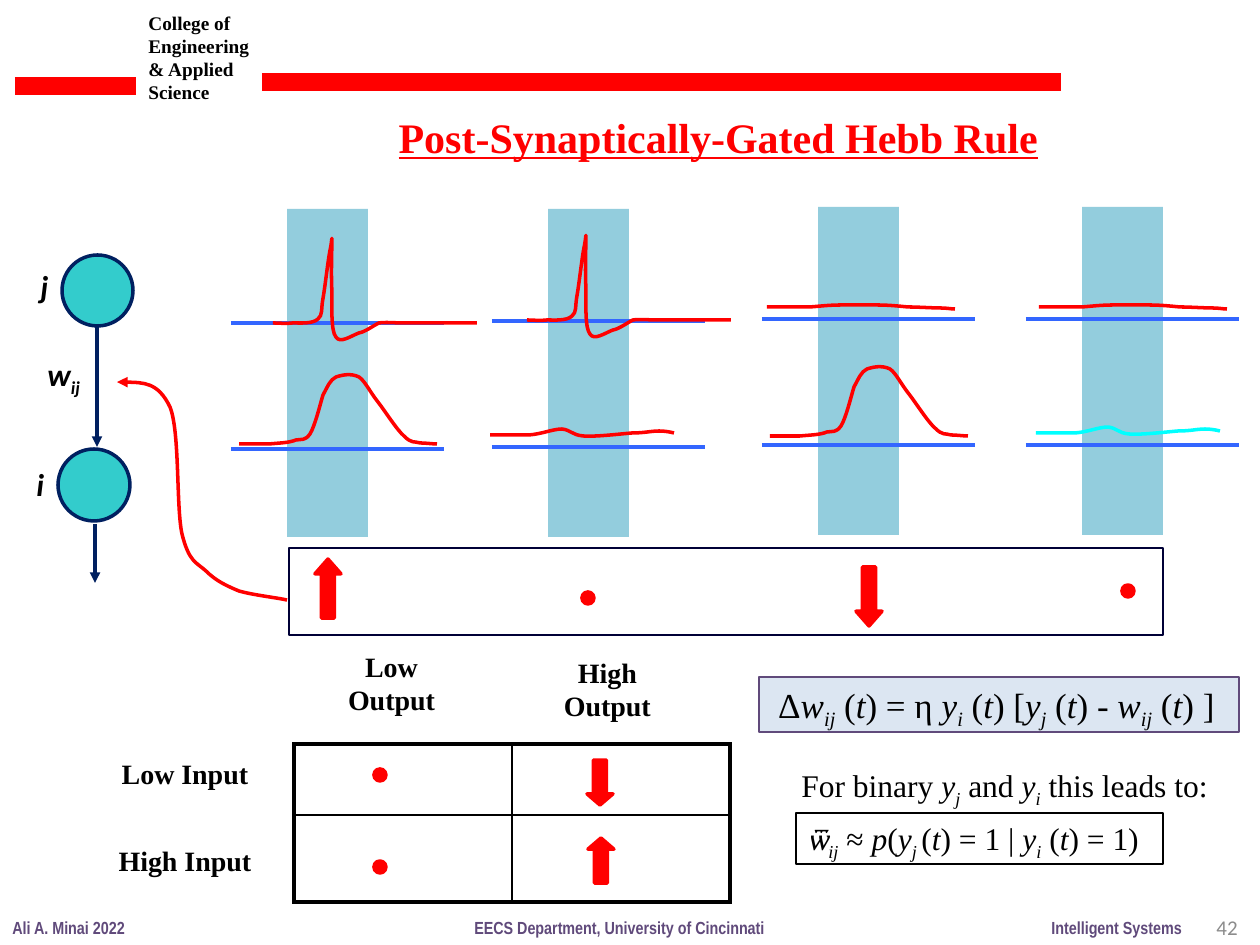
"""Build the slide on the post-synaptically-gated Hebb rule."""
from dataclasses import dataclass

from lxml import etree
from pptx import Presentation
from pptx.dml.color import RGBColor
from pptx.enum.shapes import MSO_CONNECTOR, MSO_SHAPE
from pptx.enum.text import MSO_ANCHOR, PP_ALIGN
from pptx.oxml.ns import qn
from pptx.util import Pt

SCALE = 914400 / 126
RECT, OVAL, ARROW = MSO_SHAPE.RECTANGLE, MSO_SHAPE.OVAL, MSO_SHAPE.UP_ARROW
LINE = MSO_CONNECTOR.STRAIGHT
LEFT, MID, RIGHT = PP_ALIGN.LEFT, PP_ALIGN.CENTER, PP_ALIGN.RIGHT
TOP, CENTER = MSO_ANCHOR.TOP, MSO_ANCHOR.MIDDLE
HEX = {"red": "FF0000", "black": "000000", "navy": "002060", "ink": "000036",
       "teal": "33CCCC", "band": "93CDDD", "blue": "3366FF", "cyan": "00FFFF",
       "purple": "604A7B", "pale": "DCE6F2", "gray": "8C8C8C"}
TIMES, NARROW, SANS = "Times New Roman", "Arial Narrow", "Calibri"
HEAD = {"name": TIMES, "size": Pt(16), "bold": True}
FOOT = {"name": NARROW, "size": Pt(10), "bold": True}
NODE = {"name": SANS, "size": Pt(18), "bold": True}
MATH = {"name": TIMES, "size": Pt(18)}

SPIKE = [(6, 0), (13, 1), (20, 0), (28, 0), (40, 1), (45, -4),
         (50, -8), (48, -13), (50, -24), (52, -35), (55, -62), (57, -72),
         (59, -81), (59, -89), (59, -82), (59, -76), (58, -48), (59, -32),
         (59, -15), (58, 8), (63, 14), (67, 21), (78, 13), (86, 10),
         (92, 9), (100, 3), (106, 0), (113, -1), (122, 0), (129, 0),
         (150, 0), (180, 0), (204, 0)]
BUMP = [(10, 0), (21, 0), (30, 0), (40, -1), (50, -1), (57, -4),
        (63, -5), (66, -3), (71, -10), (76, -18), (81, -39), (84, -49),
        (89, -58), (91, -64), (97, -67), (103, -69), (112, -71), (120, -67),
        (126, -63), (131, -52), (139, -42), (146, -33), (158, -14), (165, -8),
        (173, 0), (175, -3), (181, -1), (186, -1), (194, 0), (198, 0)]
WEAK = [(14, 0), (26, 0), (39, 0), (52, -1), (63, -6), (72, -6),
        (81, -5), (82, 0), (93, 1), (105, 2), (130, -1), (142, -2),
        (155, -2), (161, -4), (169, -4), (175, -4), (180, -3), (184, -2)]
FLAT = [(15, 0), (30, 0), (43, 0), (55, -1), (63, -2), (74, -2),
        (86, -2), (98, -2), (110, -2), (121, -2), (131, -1), (141, 0),
        (151, 0), (165, 1), (173, 1), (180, 1), (184, 2), (188, 2)]
LOOP = [(-8, -2), (-34, -5), (-48, -9), (-60, -14), (-71, -19), (-81, -29),
        (-91, -38), (-98, -38), (-105, -66), (-111, -93), (-107, -168),
        (-117, -193), (-129, -218), (-150, -218), (-170, -218)]


@dataclass
class Label:
    text: str
    box: tuple
    font: dict
    color: str = "black"
    align: PP_ALIGN = LEFT
    wrap: bool = False
    anchor: MSO_ANCHOR = TOP
    fill: str = ""
    edge: str = ""


@dataclass
class Trial:
    left: int
    top: int
    base: int


@dataclass
class Trace:
    x: int
    y: int
    steps: list
    color: str = "red"
    tip: bool = False


LABELS = [
    Label("College of Engineering & Applied\nScience", (136, 5, 137, 106),
          {"name": TIMES, "size": Pt(11), "bold": True}, wrap=True),
    Label("Ali A. Minai 2022", (0, 911, 139, 34), FOOT, "purple"),
    Label("EECS Department, University of Cincinnati", (462, 911, 318, 34), FOOT, "purple"),
    Label("Intelligent Systems", (1039, 911, 156, 34), FOOT, "purple"),
    Label("42", (956, 902, 294, 50), {"name": SANS, "size": Pt(12)}, "gray",
          RIGHT, True, CENTER),
    Label("Low\nOutput", (331, 643, 121, 81), HEAD, align=MID),
    Label("High\nOutput", (551, 649, 113, 81), HEAD, align=MID),
    Label("Low Input", (108, 750, 154, 47), HEAD, align=MID),
    Label("High Input", (105, 837, 160, 47), HEAD, align=MID),
    Label("*j*", (28, 261, 34, 50), NODE),
    Label("*i*", (24, 459, 34, 50), NODE),
    Label("*w_ij*", (35, 349, 58, 50), NODE),
    Label(" Δ*w_ij* (*t*) = η *y_i* (*t*) [*y_j* (*t*) - *w_ij* (*t*) ]",
          (759, 677, 480, 55), {"name": TIMES, "size": Pt(20)},
          fill="pale", edge="purple"),
    Label("For binary *y_j* and *y_i* this leads to:", (789, 760, 446, 50), MATH),
    Label("*ѿ_ij* ≈ *p*(*y_j *(*t*) = 1 | *y_i* (*t*) = 1)",
          (796, 813, 367, 51), MATH, edge="black"),
]
TRIALS = [Trial(287, 209, 323), Trial(548, 209, 321),
          Trial(818, 207, 319), Trial(1082, 207, 319)]
TRACES = [Trace(239, 444, BUMP), Trace(1036, 433, WEAK, "cyan"),
          Trace(287, 600, LOOP, tip=True), Trace(490, 435, WEAK),
          Trace(767, 307, FLAT), Trace(770, 436, BUMP), Trace(1039, 307, FLAT),
          Trace(527, 320, SPIKE), Trace(273, 323, SPIKE)]
ARROWS = [((315, 559, 26, 59), 0), ((856, 567, 26, 59), 180),
          ((588, 838, 26, 45), 0), ((587, 760, 26, 45), 180)]
DOTS = [(374, 769), (374, 861), (582, 592), (1122, 585)]


def px(*vals: int) -> list:
    return [round(val * SCALE) for val in vals]


def rgb(name: str) -> RGBColor:
    return RGBColor.from_string(HEX[name])


def paint(shape, fill: str, edge: str, width: float) -> None:
    if fill:
        shape.fill.solid()
        shape.fill.fore_color.rgb = rgb(fill)
    else:
        shape.fill.background()
    if edge:
        shape.line.color.rgb = rgb(edge)
        shape.line.width = Pt(width)
    else:
        shape.line.fill.background()


def add_run(para, text: str, look: dict, color: str):
    run = para.add_run()
    run.text = text
    for key, val in look.items():
        setattr(run.font, key, val)
    run.font.color.rgb = rgb(color)
    return run


def write(shape, label: Label) -> None:
    frame = shape.text_frame
    frame.word_wrap = label.wrap
    frame.vertical_anchor = label.anchor
    for row, line in enumerate(label.text.split("\n")):
        para = frame.add_paragraph() if row else frame.paragraphs[0]
        para.alignment = label.align
        for spot, part in enumerate(line.split("*")):
            look = {**label.font, "italic": bool(spot % 2)}
            main, _, sub = part.partition("_")
            if main:
                add_run(para, main, look, label.color)
            if sub:
                run = add_run(para, sub, look, label.color)
                run.font._element.set("baseline", "-25000")


def add_label(slide, label: Label) -> None:
    box = slide.shapes.add_textbox(*px(*label.box))
    paint(box, label.fill, label.edge, 0.75)
    write(box, label)


def add_form(slide, kind, box: tuple, fill: str, edge: str = "", width: float = 2):
    shape = slide.shapes.add_shape(kind, *px(*box))
    shape.shadow.inherit = False
    paint(shape, fill, edge, width)
    return shape


def add_tip(line) -> None:
    etree.SubElement(line._get_or_add_ln(), qn("a:tailEnd"), type="triangle")


def add_line(slide, ends: tuple, color: str, width: float = 2, tip: bool = False) -> None:
    link = slide.shapes.add_connector(LINE, *px(*ends))
    link.line.color.rgb = rgb(color)
    link.line.width = Pt(width)
    if tip:
        add_tip(link.line)
    etree.SubElement(link._element.spPr, qn("a:effectLst"))


def add_trace(slide, trace: Trace) -> None:
    pen = slide.shapes.build_freeform(trace.x, trace.y, SCALE)
    pen.add_line_segments([(trace.x + x, trace.y + y) for x, y in trace.steps], close=False)
    shape = pen.convert_to_shape()
    shape.shadow.inherit = False
    paint(shape, "", trace.color, 2)
    if trace.tip:
        add_tip(shape.line)
    route = next(shape._element.iter(qn("a:path")))
    legs = route.findall(qn("a:lnTo"))
    for first in range(0, len(legs), 3):
        curve = etree.SubElement(route, qn("a:cubicBezTo"))
        for leg in legs[first:first + 3]:
            curve.append(leg[0])
            route.remove(leg)


def add_grid(slide) -> None:
    table = slide.shapes.add_table(2, 2, *px(294, 744, 436, 158)).table
    table.first_row = table.horz_banding = False
    for row, high in zip(table.rows, px(71, 87)):
        row.height = high
    for r in range(2):
        for c in range(2):
            cell = table.cell(r, c)
            cell.fill.background()
            outer = {"lnL": c == 0, "lnR": c == 1, "lnT": r == 0, "lnB": r == 1}
            for spot, (side, thick) in enumerate(outer.items()):
                edge = etree.Element(qn("a:" + side), w=str(Pt(2.25 if thick else 1)))
                fill = etree.SubElement(edge, qn("a:solidFill"))
                etree.SubElement(fill, qn("a:srgbClr"), val=HEX["black"])
                cell._tc.get_or_add_tcPr().insert(spot, edge)


def main() -> None:
    deck = Presentation()
    deck.slide_width, deck.slide_height = px(1260, 945)
    slide = deck.slides.add_slide(deck.slide_layouts[5])
    title = slide.shapes.title
    title.left, title.top, title.width, title.height = px(386, 105, 670, 63)
    look = {"name": TIMES, "size": Pt(24), "bold": True, "underline": True}
    write(title, Label("Post-Synaptically-Gated Hebb Rule", (), look, "red"))
    add_line(slide, (15, 86, 136, 86), "red", 10)
    add_line(slide, (262, 82, 1061, 82), "red", 10)
    add_grid(slide)
    add_form(slide, RECT, (289, 548, 874, 87), "", "ink", 0.75)
    for trial in TRIALS:
        add_form(slide, RECT, (trial.left, trial.top, 81, 328), "band")
        for y in (trial.base, trial.base + 126):
            add_line(slide, (trial.left - 56, y, trial.left + 157, y), "blue")
    for box in ((62, 255, 71, 71), (58, 449, 72, 72)):
        add_form(slide, OVAL, box, "teal", "navy")
    add_line(slide, (97, 324, 97, 447), "navy", tip=True)
    add_line(slide, (95, 524, 95, 583), "navy", tip=True)
    for trace in TRACES:
        add_trace(slide, trace)
    for box, turn in ARROWS:
        arrow = add_form(slide, ARROW, box, "red", "red")
        arrow.adjustments[1] = 0.57 if box[3] > 50 else 0.43
        arrow.rotation = turn
    for x, y in DOTS:
        add_form(slide, OVAL, (x, y, 12, 12), "red", "red")
    for label in LABELS:
        add_label(slide, label)
    deck.save("out.pptx")


if __name__ == "__main__":
    main()
